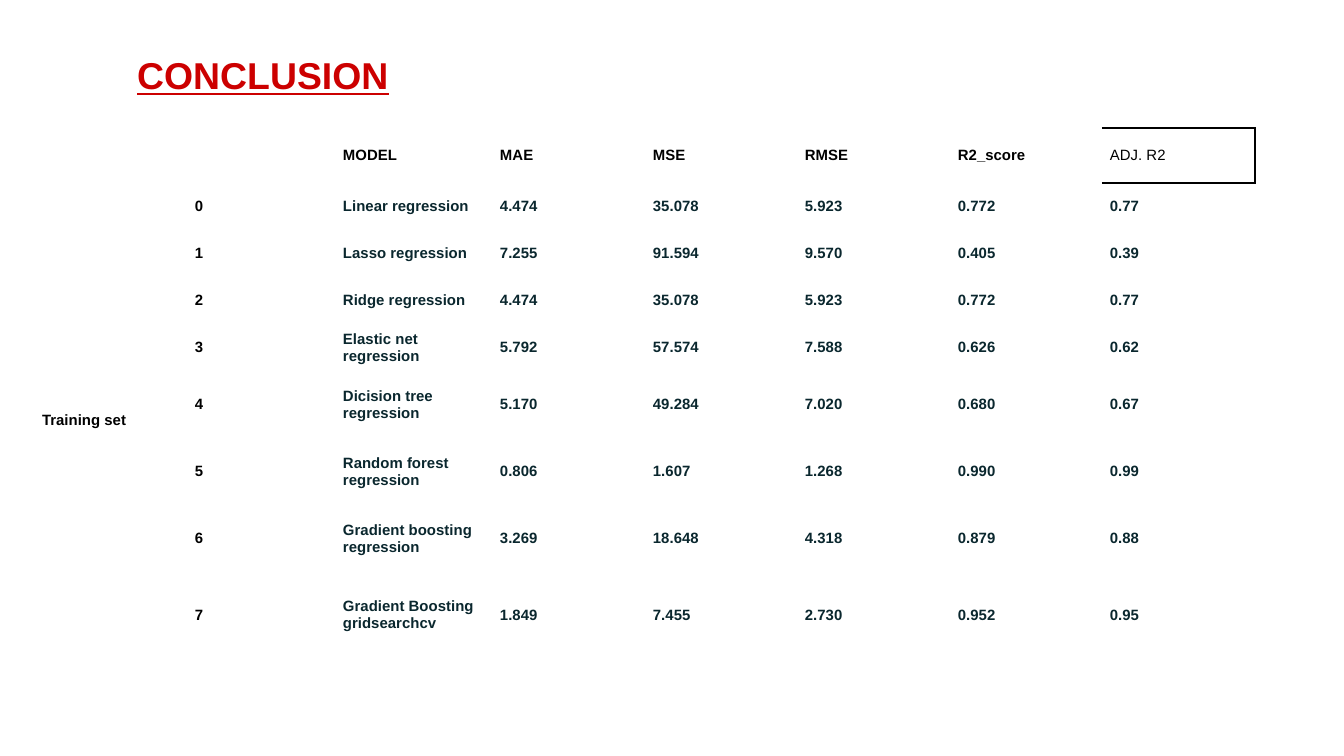
"""Build the conclusion slide: a table of regression model scores on the training set."""
from dataclasses import dataclass

from lxml.etree import SubElement
from pptx import Presentation
from pptx.dml.color import RGBColor
from pptx.enum.text import MSO_ANCHOR
from pptx.oxml.ns import qn
from pptx.util import Emu, Pt

TITLE = "CONCLUSION"
GROUP = "Training set"
HEADINGS = ["MODEL", "MAE", "MSE", "RMSE", "R2_score", "ADJ. R2"]
SCORES = [
    ("Linear regression", "4.474", "35.078", "5.923", "0.772", "0.77"),
    ("Lasso regression", "7.255", "91.594", "9.570", "0.405", "0.39"),
    ("Ridge regression", "4.474", "35.078", "5.923", "0.772", "0.77"),
    ("Elastic net regression", "5.792", "57.574", "7.588", "0.626", "0.62"),
    ("Dicision tree regression", "5.170", "49.284", "7.020", "0.680", "0.67"),
    ("Random forest regression", "0.806", "1.607", "1.268", "0.990", "0.99"),
    ("Gradient boosting regression", "3.269", "18.648", "4.318", "0.879", "0.88"),
    ("Gradient Boosting gridsearchcv", "1.849", "7.455", "2.730", "0.952", "0.95"),
]

PAGE_SIZE = (1344, 756)
TITLE_BOX = (124, 46, 503, 103)
TABLE_ORIGIN = (34, 128)
COLUMN_WIDTHS = [153, 148, 157, 153, 152, 153, 152, 153]
ROW_HEIGHTS = [55] + [47] * 4 + [67] * 3 + [86]
CELL_INSETS = (8, 4)
PLAIN_STYLE = "{2D5ABB26-0587-4C30-8999-92F81FD0307C}"


@dataclass(frozen=True)
class Theme:
    font: str = "Arial"
    title: str = "CC0000"
    label: str = "000000"
    score: str = "0A272E"
    paper: str = "FFFFFF"
    title_size: int = 20
    cell_size: int = 8
    border_width: int = 1


THEME = Theme()


def px(length):
    return Emu(round(length * 914400 / 134.4))


def write(para, text, size, color, bold=True, underline=None):
    span = para.add_run()
    span.text = text
    span.font.name = THEME.font
    span.font.size = Pt(size)
    span.font.bold = bold
    span.font.underline = underline
    span.font.color.rgb = RGBColor.from_string(color)


def write_cell(cell, text, color, bold=True):
    write(cell.text_frame.paragraphs[0], text, THEME.cell_size, color, bold)


def format_cell(cell):
    cell.vertical_anchor = MSO_ANCHOR.MIDDLE
    cell.margin_left = cell.margin_right = px(CELL_INSETS[0])
    cell.margin_top = cell.margin_bottom = px(CELL_INSETS[1])
    cell.fill.solid()
    cell.fill.fore_color.rgb = RGBColor.from_string(THEME.paper)


def outline_cell(cell, sides):
    properties = cell._tc.get_or_add_tcPr()
    for position, side in enumerate(sides):
        line = SubElement(properties, qn(f"a:ln{side}"), w=str(Pt(THEME.border_width)))
        fill = SubElement(line, qn("a:solidFill"))
        SubElement(fill, qn("a:srgbClr"), val=THEME.label)
        properties.insert(position, line)


def add_title(page):
    box = page.shapes.add_textbox(*map(px, TITLE_BOX))
    box.text_frame.word_wrap = True
    write(box.text_frame.paragraphs[0], TITLE, THEME.title_size, THEME.title, underline=True)


def add_scores(page):
    size = (sum(COLUMN_WIDTHS), sum(ROW_HEIGHTS))
    frame = page.shapes.add_table(
        len(ROW_HEIGHTS), len(COLUMN_WIDTHS), *map(px, TABLE_ORIGIN + size))
    table = frame.table
    table.first_row = table.horz_banding = False
    table._tbl.tblPr.find(qn("a:tableStyleId")).text = PLAIN_STYLE
    for column, width in zip(table.columns, COLUMN_WIDTHS):
        column.width = px(width)
    for row, height in zip(table.rows, ROW_HEIGHTS):
        row.height = px(height)
    for cell in table.iter_cells():
        format_cell(cell)

    for column, heading in enumerate(HEADINGS, start=2):
        write_cell(table.cell(0, column), heading, THEME.label, heading != HEADINGS[-1])
    adjusted = table.cell(0, len(COLUMN_WIDTHS) - 1)
    adjusted.fill.background()
    outline_cell(adjusted, "RTB")

    group = table.cell(1, 0)
    group.merge(table.cell(len(SCORES), 0))
    write_cell(group, GROUP, THEME.label)
    for row, scores in enumerate(SCORES, start=1):
        write_cell(table.cell(row, 1), str(row - 1), THEME.label)
        for column, score in enumerate(scores, start=2):
            write_cell(table.cell(row, column), score, THEME.score)


def main():
    deck = Presentation()
    deck.slide_width, deck.slide_height = map(px, PAGE_SIZE)
    page = deck.slides.add_slide(deck.slide_layouts[6])
    add_title(page)
    add_scores(page)
    deck.save("out.pptx")


if __name__ == "__main__":
    main()
